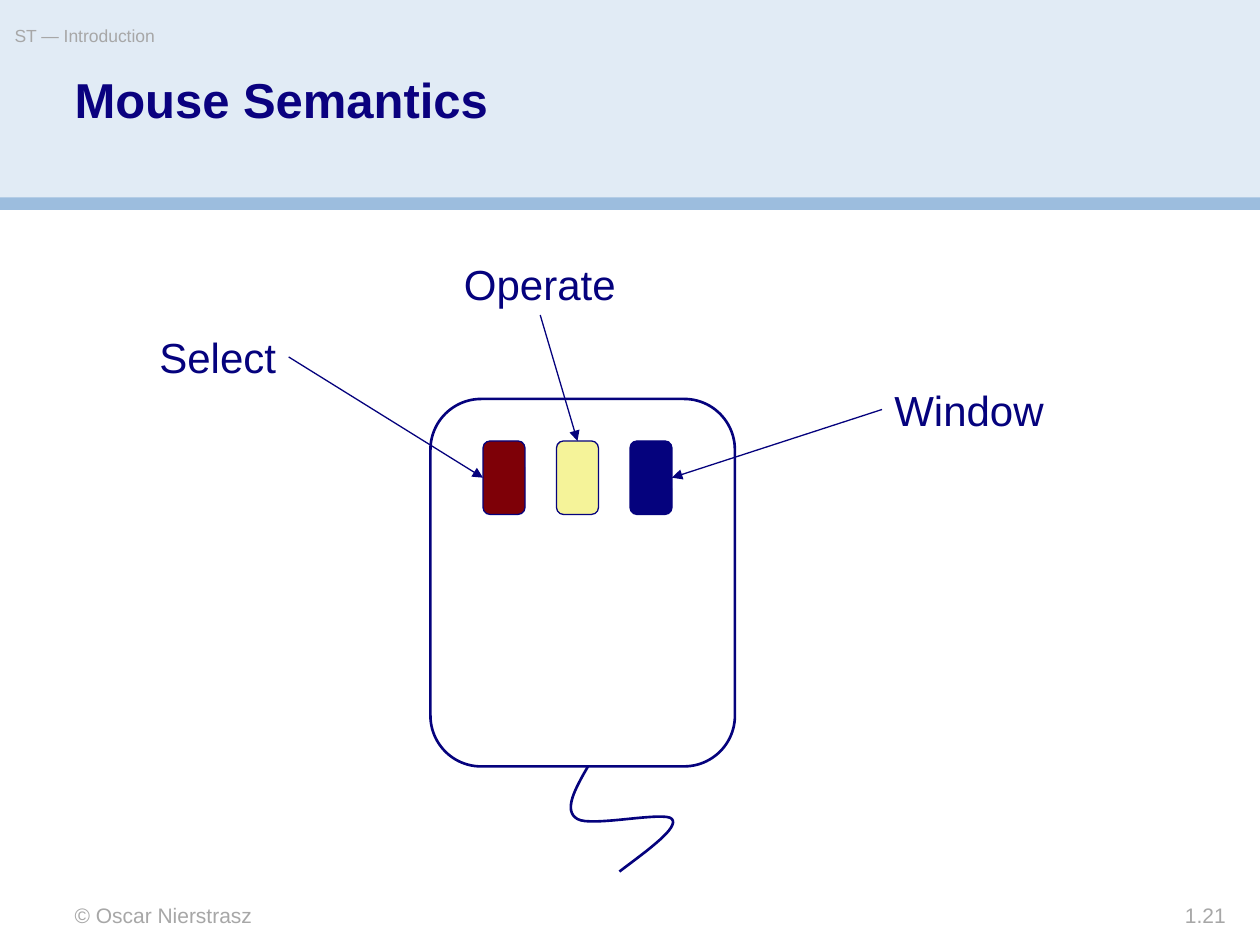
from lxml import etree
from pptx import Presentation
from pptx import util as u
from pptx.dml.color import RGBColor
from pptx.enum import shapes, text
from pptx.oxml import ns

NAVY = RGBColor(0x05, 0x02, 0x7D)
TITLE_BLUE = RGBColor(0x0A, 0x01, 0x7F)
RED = RGBColor(0x7E, 0x00, 0x07)
YELLOW = RGBColor(0xF5, 0xF3, 0x99)
WHITE = RGBColor(0xFF, 0xFF, 0xFF)
GREY = RGBColor(0xA7, 0xA7, 0xA7)
PALE_BLUE = RGBColor(0xE1, 0xEB, 0xF5)
BAND_BLUE = RGBColor(0x9C, 0xBD, 0xDE)

COLUMNS, ROWS = 120, 90
CELL = u.Inches(10) // COLUMNS


def grid(*cells):
    """Turn counts of grid cells into lengths."""
    return [u.Emu(round(cell * CELL)) for cell in cells]


def add_text(slide, box, wording, size, color, bold=False, align=text.PP_ALIGN.LEFT,
             insets=(0, 0), grow=False, spacing=None):
    """Place one line of text in a box of grid cells."""
    area = slide.shapes.add_textbox(*grid(*box))
    frame = area.text_frame
    frame.word_wrap = not grow
    if grow:
        frame.auto_size = text.MSO_AUTO_SIZE.SHAPE_TO_FIT_TEXT
    frame.margin_left = frame.margin_right = u.Inches(insets[0])
    frame.margin_top = frame.margin_bottom = u.Inches(insets[1])
    line = frame.paragraphs[0]
    line.alignment = align
    line.line_spacing = spacing
    run = line.add_run()
    run.text = wording
    run.font.name, run.font.size, run.font.bold = "Arial", u.Pt(size), bold
    run.font.color.rgb = color


def add_block(slide, kind, box, fill, line_width=0):
    """Place a filled shape, outlined in navy when a line width is given."""
    block = slide.shapes.add_shape(kind, *grid(*box))
    block.shadow.inherit = False
    block.fill.solid()
    block.fill.fore_color.rgb = fill
    if line_width:
        block.line.color.rgb = NAVY
        block.line.width = u.Pt(line_width)
    else:
        block.line.fill.background()


def add_arrow(slide, start, end):
    """Draw a thin navy line with an arrowhead at its end."""
    arrow = slide.shapes.add_connector(shapes.MSO_CONNECTOR.STRAIGHT, *grid(*start, *end))
    arrow.line.color.rgb = NAVY
    arrow.line.width = u.Pt(0.75)
    properties = arrow._element.spPr
    etree.SubElement(properties.find(ns.qn("a:ln")), ns.qn("a:tailEnd"), type="triangle")
    etree.SubElement(properties, ns.qn("a:effectLst"))


def curve_points(start, segments, steps=16):
    """Return the points along a chain of cubic curves."""
    points = [start]
    for first, second, end in segments:
        for step in range(1, steps + 1):
            t = step / steps
            points.append(tuple(
                (1 - t) ** 3 * a + 3 * (1 - t) ** 2 * t * b + 3 * (1 - t) * t ** 2 * c + t ** 3 * d
                for a, b, c, d in zip(start, first, second, end)))
        start = end
    return points


def draw_header(slide, box):
    """Draw the title band with its running head and title."""
    left, top, width, height = box
    add_block(slide, shapes.MSO_SHAPE.RECTANGLE, (left, top, width, height * 0.95), PALE_BLUE)
    add_block(slide, shapes.MSO_SHAPE.RECTANGLE,
              (left, top + height * 0.94, width, height * 0.06), BAND_BLUE)
    add_text(slide, (left + 1.4, top + 2.4, 71, 3.4), "ST — Introduction", 10, GREY)
    add_text(slide, (left + 7.1, top + 7.25, 106, 10.7), "Mouse Semantics", 28, TITLE_BLUE,
             bold=True, spacing=0.9)


def draw_mouse(slide, box):
    """Draw the mouse body, its cable, and three buttons."""
    left, top, width, height = box
    rounded = shapes.MSO_SHAPE.ROUNDED_RECTANGLE
    add_block(slide, rounded, box, WHITE, 1.5)
    cable = curve_points((15, 0), [((13.8, 2.1), (12.6, 4.2), (14, 5)),
                                   ((15.3, 5.8), (22.4, 4.2), (23, 5)),
                                   ((23.7, 5.8), (20.8, 7.9), (18, 10))])
    start, *rest = [grid(left + x, top + height + y) for x, y in cable]
    builder = slide.shapes.build_freeform(*start)
    builder.add_line_segments(rest, close=False)
    cord = builder.convert_to_shape()
    cord.shadow.inherit = False
    cord.fill.background()
    cord.line.color.rgb = NAVY
    cord.line.width = u.Pt(1.5)
    for index, color in enumerate((RED, YELLOW, NAVY)):
        add_block(slide, rounded, (left + 5 + 7 * index, top + 4, 4, 7), color, 0.75)


def draw_labels(slide, box):
    """Name each button around the mouse box and point to it."""
    left, top = box[:2]
    labels = (
        ("Select", (-27, -7, 13.5), (-13.5, -4), (5, 7.5)),
        ("Operate", (2, -14, 16.9), (10.45, -8), (14, 4)),
        ("Window", (43, -2, 16.6), (43, 1), (23, 7.5)),
    )
    for wording, (x, y, width), start, end in labels:
        add_text(slide, (left + x, top + y, width, 6), wording, 24, NAVY,
                 insets=(0.1, 0.05), grow=True)
        add_arrow(slide, (left + start[0], top + start[1]), (left + end[0], top + end[1]))


def draw_footer(slide, box):
    """Write the copyright at the left and the page number at the right."""
    left, top, width, height = box
    add_text(slide, (left, top, 50, height), "© Oscar Nierstrasz", 12, GREY)
    add_text(slide, (left + width - 18, top, 18, height), "1.21", 12, GREY,
             align=text.PP_ALIGN.RIGHT)


def main():
    """Build the slide and save it."""
    deck = Presentation()
    deck.slide_width, deck.slide_height = grid(COLUMNS, ROWS)
    slide = deck.slides.add_slide(deck.slide_layouts[6])
    mouse = (41, 38, 29, 35)
    draw_header(slide, (0, 0, COLUMNS, 20))
    draw_footer(slide, (7.1, 86, 109.65, 2.4))
    draw_mouse(slide, mouse)
    draw_labels(slide, mouse)
    deck.save("out.pptx")


if __name__ == "__main__":
    main()
